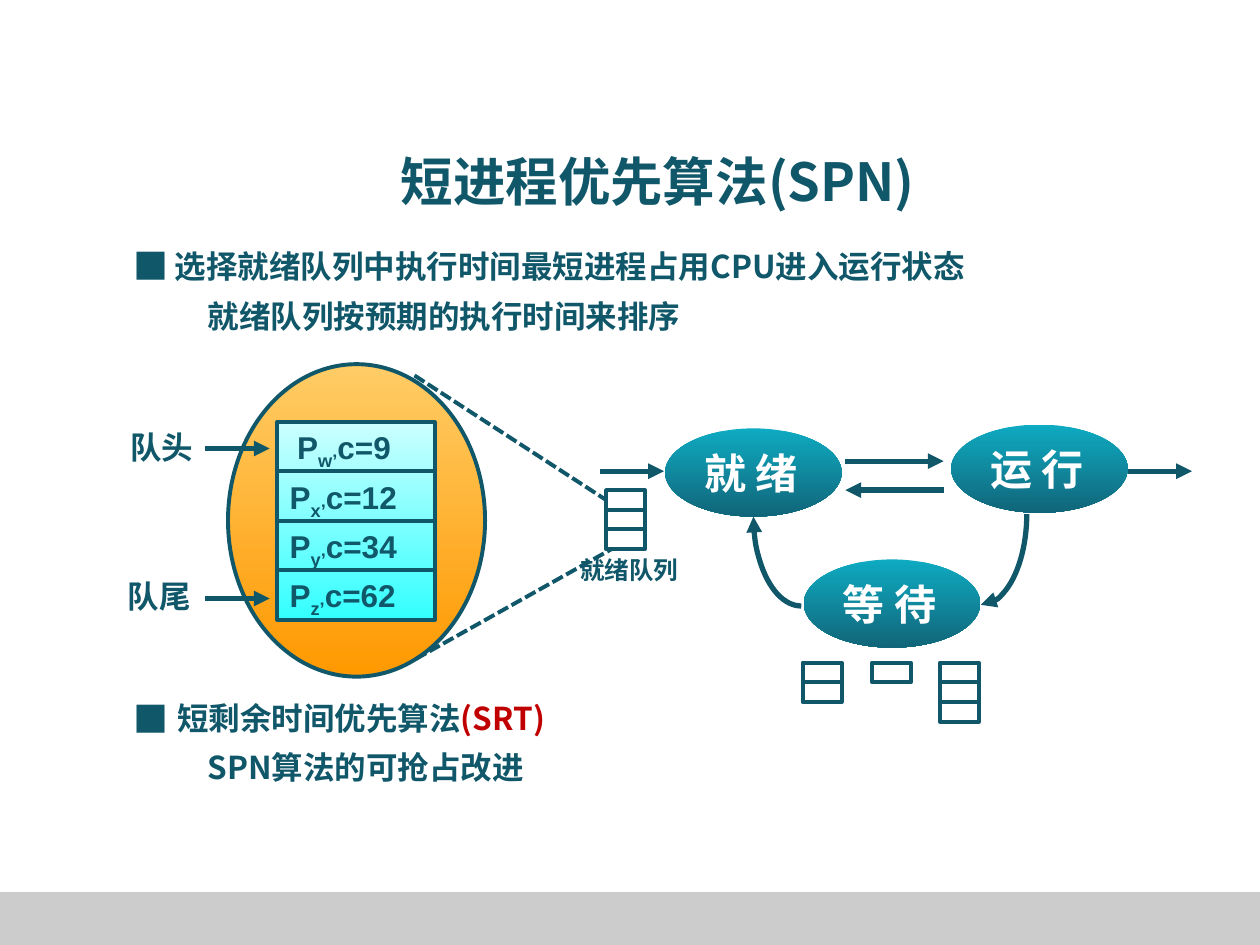
from dataclasses import dataclass
from copy import deepcopy

from lxml.etree import SubElement
from pptx import Presentation
from pptx.dml.color import RGBColor
from pptx.enum.dml import MSO_LINE
from pptx.enum.shapes import MSO_CONNECTOR, MSO_SHAPE
from pptx.enum.text import MSO_ANCHOR, MSO_AUTO_SIZE, PP_ALIGN
from pptx.oxml.ns import qn
from pptx.util import Inches, Pt


@dataclass(frozen=True)
class Theme:
    ink: str = "11576A"
    accent: str = "C00000"
    white: str = "FFFFFF"
    footer: str = "CCCCCC"
    # Gradients run from top to bottom: (position, colour)
    state: tuple = ((0, "0EABC2"), (0.23, "0F9BB1"), (1, "116579"))
    orange: tuple = ((0, "FFCC66"), (1, "FF9900"))
    cyan: tuple = ((0, "CCFFFF"), (1, "33FFFF"))
    heading_font: str = "Noto Sans CJK SC"
    bullet_font: str = "Noto Sans CJK JP"
    label_font: str = "Arial"
    title_size: float = 30
    state_size: float = 24
    bullet_size: float = 20
    body_size: float = 18
    caption_size: float = 14
    thin: float = 2.25
    thick: float = 3


class SlideBuilder:
    """Places elements on a grid of 100 columns by 75 rows."""

    def __init__(self, presentation, theme):
        self.theme = theme
        self.slide = presentation.slides.add_slide(presentation.slide_layouts[6])
        self.column = presentation.slide_width / 100
        self.row = presentation.slide_height / 75

    def place(self, left, top, width, height):
        return (round(left * self.column), round(top * self.row),
                round(width * self.column), round(height * self.row))

    def stroke(self, line, width):
        line.color.rgb = RGBColor.from_string(self.theme.ink)
        line.width = Pt(width)

    def shape(self, kind, box, fill=None, outline=None):
        shape = self.slide.shapes.add_shape(kind, *self.place(*box))
        shape.shadow.inherit = False
        if fill is None:
            shape.fill.background()
        elif isinstance(fill, str):
            shape.fill.solid()
            shape.fill.fore_color.rgb = RGBColor.from_string(fill)
        else:
            self.gradient(shape, fill)
        if outline:
            self.stroke(shape.line, outline)
        else:
            shape.line.fill.background()
        return shape

    def gradient(self, shape, stops):
        shape.fill.gradient()
        shape.fill.gradient_angle = 270
        stop_list = shape._element.spPr.find(qn("a:gradFill")).find(qn("a:gsLst"))
        while len(stop_list) < len(stops):
            stop_list.append(deepcopy(stop_list[-1]))
        for stop, (position, color) in zip(shape.fill.gradient_stops, stops):
            stop.position = position
            stop.color.rgb = RGBColor.from_string(color)

    def text(self, box, parts, size, font, color=None, align=PP_ALIGN.LEFT,
             wrap=False, anchor=MSO_ANCHOR.TOP, line_spacing=None):
        """Parts are (text, colour or None, baseline or None), or one string."""
        frame = self.slide.shapes.add_textbox(*self.place(*box)).text_frame
        frame.word_wrap = wrap
        frame.auto_size = MSO_AUTO_SIZE.NONE if wrap else MSO_AUTO_SIZE.SHAPE_TO_FIT_TEXT
        frame.vertical_anchor = anchor
        paragraph = frame.paragraphs[0]
        paragraph.alignment = align
        if line_spacing:
            paragraph.line_spacing = line_spacing
        if isinstance(parts, str):
            parts = [(parts, None, None)]
        for content, own_color, baseline in parts:
            run = paragraph.add_run()
            run.text = content
            run.font.size = Pt(size)
            run.font.bold = True
            run.font.color.rgb = RGBColor.from_string(own_color or color or self.theme.ink)
            run.font.name = font
            properties = run._r.get_or_add_rPr()
            east_asian = self.theme.heading_font if font == self.theme.label_font else font
            SubElement(properties, qn("a:ea")).set("typeface", east_asian)
            if baseline:
                properties.set("baseline", str(baseline))

    def arrowhead(self, shape, end):
        line = shape.line._get_or_add_ln()
        SubElement(line, qn(f"a:{end}End")).set("type", "triangle")

    def line(self, start, finish, width, arrow=None, dashed=False):
        points = self.place(*start, *finish)
        connector = self.slide.shapes.add_connector(MSO_CONNECTOR.STRAIGHT, *points)
        self.stroke(connector.line, width)
        if dashed:
            connector.line.dash_style = MSO_LINE.SQUARE_DOT
        if arrow:
            self.arrowhead(connector, arrow)
        SubElement(connector._element.spPr, qn("a:effectLst"))
        return connector

    def arc(self, box, arrow, flipped=False):
        """Draws the lower right quarter of an ellipse, mirrored if flipped."""
        arc = self.shape(MSO_SHAPE.ARC, box, outline=self.theme.thick)
        arc.adjustments[0], arc.adjustments[1] = 0.54, 54
        if flipped:
            arc._element.spPr.find(qn("a:xfrm")).set("flipH", "1")
        self.arrowhead(arc, arrow)

    def bullet(self, top, left, width, parts):
        theme = self.theme
        self.text((left, top, width, 4.7), parts, theme.body_size,
                  theme.heading_font, wrap=True)
        self.text((9.6, top - 0.15, 4.7, 4.4), "■", theme.bullet_size,
                  theme.bullet_font, wrap=True)

    def detail(self, top, width, content):
        self.text((15.5, top, width, 4), content, self.theme.body_size,
                  self.theme.heading_font, wrap=True, line_spacing=0.9)

    def state(self, left, top, label):
        theme = self.theme
        self.shape(MSO_SHAPE.OVAL, (left, top, 14, 7), theme.state)
        self.text((left + 2.1, top + 1, 9.8, 5), label, theme.state_size,
                  theme.heading_font, theme.white)

    def queue(self, left, top, count):
        return [self.shape(MSO_SHAPE.RECTANGLE, (left, top + index * 1.56, 3.1, 1.56),
                           outline=self.theme.thin) for index in range(count)]


def main():
    presentation = Presentation()
    presentation.slide_width, presentation.slide_height = Inches(10), Inches(7.5)
    theme = Theme()
    builder = SlideBuilder(presentation, theme)

    # Footer band and title
    builder.shape(MSO_SHAPE.RECTANGLE, (0, 70.8, 100, 4.2), theme.footer)
    builder.text((7.2, 11.5, 90, 5.6), "短进程优先算法(SPN)", theme.title_size,
                 theme.heading_font, align=PP_ALIGN.CENTER, wrap=True,
                 anchor=MSO_ANCHOR.MIDDLE)

    # Bullets with their details
    builder.bullet(19.1, 12.9, 69.8, "选择就绪队列中执行时间最短进程占用CPU进入运行状态")
    builder.detail(23.4, 46.5, "就绪队列按预期的执行时间来排序")
    builder.bullet(55, 13.1, 46.3, [("短剩余时间优先算法", None, None),
                                    ("(SRT)", theme.accent, None)])
    builder.detail(59.2, 29.5, "SPN算法的可抢占改进")

    # Process states
    for left, top, label in ((52.8, 34, "就 绪"), (75.5, 33.7, "运 行"), (63.8, 44.4, "等 待")):
        builder.state(left, top, label)

    # Transitions between states
    builder.arc((74.2, 33.5, 7.3, 14.5), "tail")
    builder.arc((59.8, 33.8, 7.6, 14.3), "head", flipped=True)
    for left, right, height, arrow in ((67.1, 74.9, 36.6, "tail"), (67.1, 74.9, 38.9, "head"),
                                       (89.5, 94.6, 37.4, "tail"), (47.6, 52.7, 37.4, "tail")):
        builder.line((left, height), (right, height), theme.thick, arrow)

    # Waiting queues and ready queue
    for left, count in ((74.6, 3), (63.7, 2), (69.2, 1)):
        builder.queue(left, 52.6, count)
    ready_queue = builder.queue(48.1, 38.9, 3)
    builder.text((45, 43.6, 9.9, 3.4), "就绪队列", theme.caption_size,
                 theme.label_font, align=PP_ALIGN.CENTER)

    # Enlarged ready queue
    builder.shape(MSO_SHAPE.OVAL, (18.1, 28.9, 20.4, 24.8), theme.orange, theme.thin)
    stack_left, stack_top, stack_width, entry_height = 22, 33.5, 12.5, 3.92
    stack = builder.shape(MSO_SHAPE.RECTANGLE,
                          (stack_left, stack_top, stack_width, 4 * entry_height),
                          theme.cyan, theme.thin)
    entries = (("w", 9, 22.6, 11.6), ("x", 12, 22, 12.8), ("y", 34, 22, 12.8), ("z", 62, 22, 12.7))
    for index, (name, cost, left, width) in enumerate(entries):
        top = stack_top + index * entry_height
        builder.text((left, top, width, 4),
                     [("P", None, None), (f"{name}’", None, -25000), (f"c={cost}", None, None)],
                     theme.body_size, theme.label_font)
        if index:
            divider = builder.line((stack_left, top), (stack_left + stack_width, top), theme.thin)
            if index == 2:
                divider.begin_connect(stack, 1)
                divider.end_connect(stack, 3)

    # Head and tail of the queue
    for label, left, top, arrow_height in (("队头", 9.3, 33.5, 35.6), ("队尾", 9.1, 45.3, 47.5)):
        builder.text((left, top, 7.1, 4), label, theme.body_size, theme.label_font,
                     align=PP_ALIGN.CENTER)
        builder.line((16.3, arrow_height), (21.4, arrow_height), theme.thick, "tail")

    # Magnifying guides
    guide = builder.line((32.9, 29.8), (48.1, 39.7), theme.thin, dashed=True)
    guide.end_connect(ready_queue[0], 1)
    builder.line((33, 52.3), (48.5, 43.6), theme.thin, dashed=True)

    presentation.save("out.pptx")


if __name__ == "__main__":
    main()
